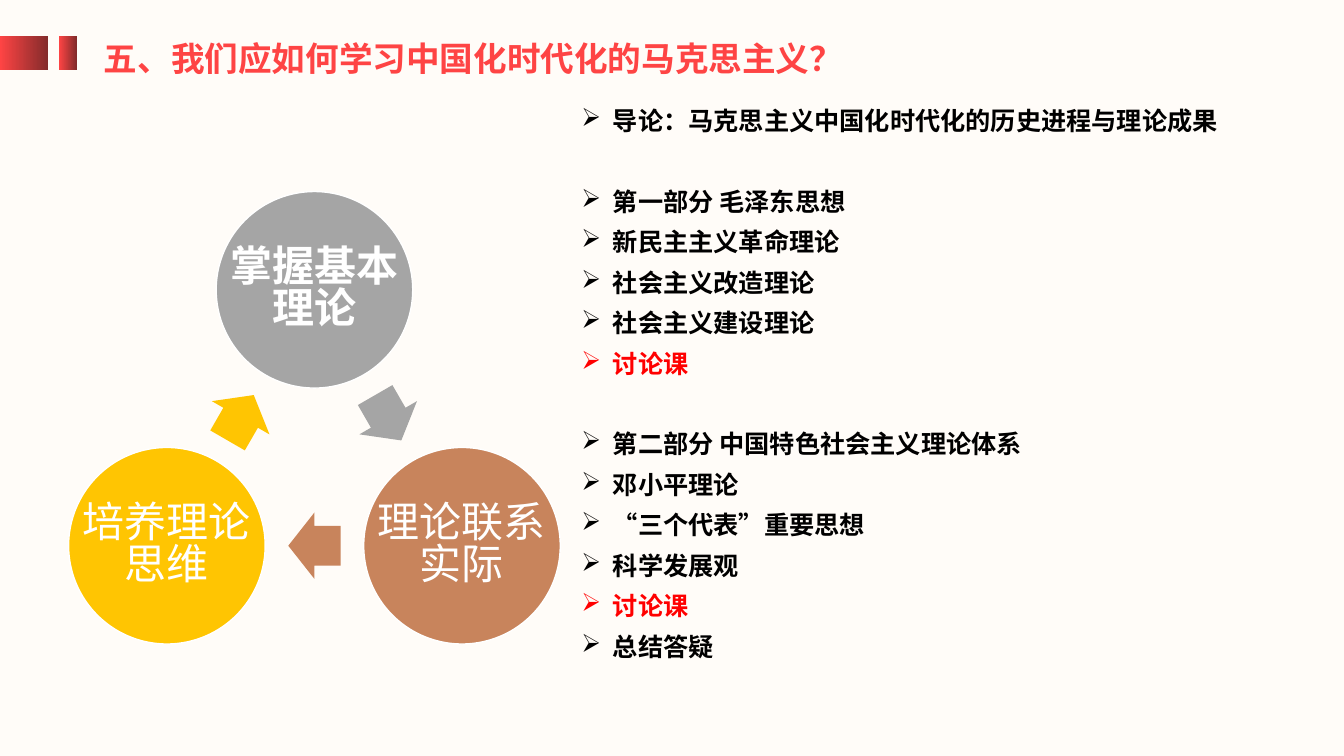
from lxml import etree
from pptx import Presentation
from pptx.dml.color import RGBColor
from pptx.enum.shapes import MSO_SHAPE
from pptx.enum.text import MSO_ANCHOR, PP_ALIGN
from pptx.oxml.ns import qn
from pptx.util import Pt

OVAL, ARROW, RECT = MSO_SHAPE.OVAL, MSO_SHAPE.RIGHT_ARROW, MSO_SHAPE.RECTANGLE
MIDDLE, LEFT, CENTER = MSO_ANCHOR.MIDDLE, PP_ALIGN.LEFT, PP_ALIGN.CENTER
FONT = "Noto Sans CJK SC"
COLORS = {"bg": "FFFCF8", "title": "FE4444", "dark": "832B2B", "white": "FFFFFF",
          "gray": "A5A5A5", "brown": "C8845C", "yellow": "FFC502",
          "text": "000000", "red": "FF0000"}


def rgb(name):
    return RGBColor.from_string(COLORS[name])


def format_runs(p, size, color, bold):
    for r in p.runs:
        r.font.size, r.font.bold, r.font.name = Pt(size), bold, FONT
        r.font.color.rgb = rgb(color)
        etree.SubElement(r.font._element, qn("a:ea"), typeface=FONT)


prs = Presentation()
prs.slide_width, prs.slide_height = Pt(960), Pt(540)
s = prs.slides.add_slide(prs.slide_layouts[5])
s.background.fill.solid()
s.background.fill.fore_color.rgb = rgb("bg")

# Heading with its gradient marks
title = s.shapes.title
title.left, title.top, title.width, title.height = Pt(67), Pt(23.8), Pt(542), Pt(36)
tf = title.text_frame
tf.text = "五、我们应如何学习中国化时代化的马克思主义？"
tf.word_wrap, tf.vertical_anchor = False, MIDDLE
tf.paragraphs[0].alignment = LEFT
format_runs(tf.paragraphs[0], 24, "title", True)

for left, width in [(0, 34.5), (42.2, 12.5)]:
    mark = s.shapes.add_shape(RECT, Pt(left), Pt(25.8), Pt(width), Pt(24.3))
    mark.shadow.inherit = False
    mark.line.fill.background()
    mark.fill.gradient()
    mark.fill.gradient_angle = 0
    for stop, color in zip(mark.fill.gradient_stops, ("title", "dark")):
        stop.color.rgb = rgb(color)

# Cycle: each arrow sits midway between one circle and the next
DIAMETER, ARROW_W, ARROW_H = 140.4, 37.4, 47.5
steps = [("掌握基本\v理论", "gray", True, 224.6, 207),
         ("理论联系\v实际", "brown", False, 330, 389.8),
         ("培养理论\v思维", "yellow", False, 119.2, 389.8)]
for i, (text, color, bold, x, y) in enumerate(steps):
    circle = s.shapes.add_shape(OVAL, Pt(x - DIAMETER / 2), Pt(y - DIAMETER / 2),
                                Pt(DIAMETER), Pt(DIAMETER))
    circle.line.color.rgb = rgb("white")
    circle.line.width = Pt(1)
    tf = circle.text_frame
    tf.text = text
    tf.word_wrap, tf.vertical_anchor = False, MIDDLE
    p = tf.paragraphs[0]
    p.alignment, p.line_spacing = CENTER, 0.84
    format_runs(p, 30, "white", bold)

    next_x, next_y = steps[(i + 1) % len(steps)][3:]
    arrow = s.shapes.add_shape(ARROW, Pt((x + next_x - ARROW_W) / 2),
                               Pt((y + next_y - ARROW_H) / 2), Pt(ARROW_W), Pt(ARROW_H))
    arrow.adjustments[0], arrow.adjustments[1] = 0.6, 0.5
    arrow.rotation = 60 + 120 * i
    arrow.line.fill.background()
    for shape in (circle, arrow):
        shape.shadow.inherit = False
        shape.fill.solid()
        shape.fill.fore_color.rgb = rgb(color)

# Course outline, with one empty line's height between parts
LINE, GAP = 24.85, 2
parts = [["导论：马克思主义中国化时代化的历史进程与理论成果"],
         ["第一部分 毛泽东思想", "新民主主义革命理论", "社会主义改造理论",
          "社会主义建设理论", "讨论课"],
         ["第二部分 中国特色社会主义理论体系", "邓小平理论", "“三个代表”重要思想",
          "科学发展观", "讨论课", "总结答疑"]]
tf = s.shapes.add_textbox(Pt(408.2), Pt(68.5), Pt(533), Pt(392)).text_frame
tf.word_wrap = True
for n, part in enumerate(parts):
    for k, text in enumerate(part):
        first = n == 0 and k == 0
        p = tf.paragraphs[0] if first else tf.add_paragraph()
        p.text = text
        pPr = p._p.get_or_add_pPr()
        pPr.set("marL", str(Pt(22.5)))
        pPr.set("indent", str(-Pt(22.5)))
        etree.SubElement(pPr, qn("a:buChar"), char="➢")
        p.line_spacing, p.space_after = Pt(LINE), Pt(GAP)
        p.space_before = Pt(0 if first else GAP if k else LINE + 3 * GAP)
        format_runs(p, 18, "red" if text == "讨论课" else "text", True)

prs.save("out.pptx")
